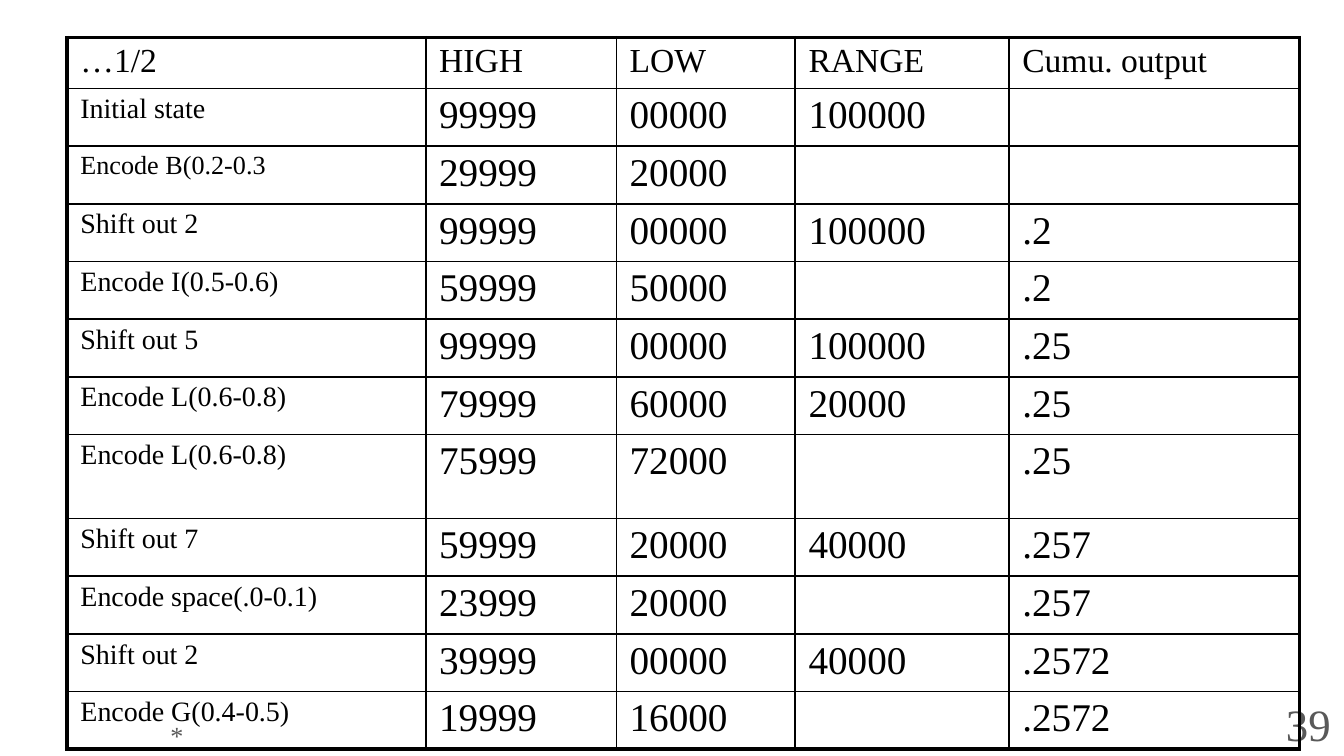
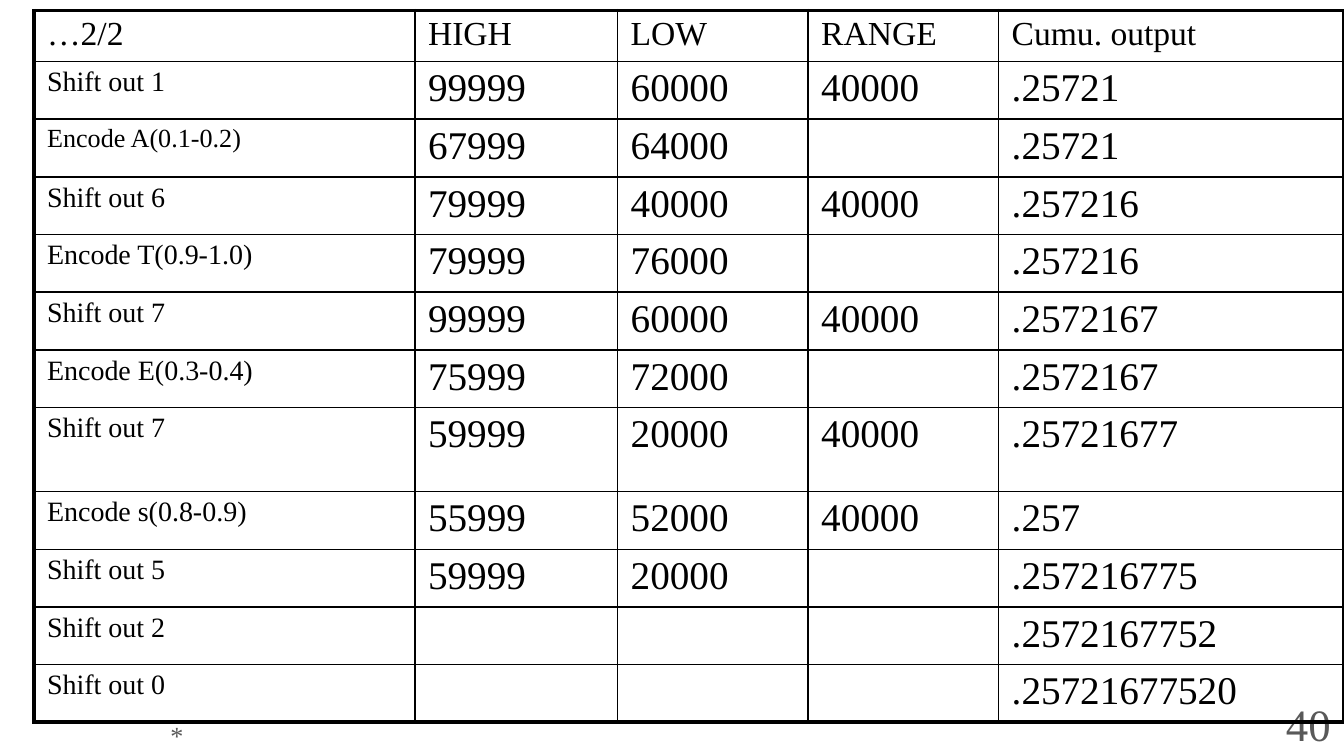
from lxml import etree
from pptx import Presentation
from pptx import util as u
from pptx.dml.color import RGBColor
from pptx.enum import text as t
from pptx.oxml import ns

FONT = "Times New Roman"
INK = "000000"
GREY = "595959"
THIN, THICK = 1, 2.25
HEADER_HEIGHT, ROW_HEIGHT, TALL_HEIGHT = 0.95, 1.08, 1.59
TALL_ROW = 7
SMALL_LABEL_ROW = 2
HEADINGS = ["HIGH", "LOW", "RANGE", "Cumu. output"]

PAGES = [
    {
        "number": "39",
        "left": 1.27,
        "top": 0.71,
        "widths": [6.78, 3.6, 3.38, 4.04, 5.49],
        "rows": [
            ["…1/2", *HEADINGS],
            ["Initial state", "99999", "00000", "100000", ""],
            ["Encode B(0.2-0.3", "29999", "20000", "", ""],
            ["Shift out 2", "99999", "00000", "100000", ".2"],
            ["Encode I(0.5-0.6)", "59999", "50000", "", ".2"],
            ["Shift out 5", "99999", "00000", "100000", ".25"],
            ["Encode L(0.6-0.8)", "79999", "60000", "20000", ".25"],
            ["Encode L(0.6-0.8)", "75999", "72000", "", ".25"],
            ["Shift out 7", "59999", "20000", "40000", ".257"],
            ["Encode space(.0-0.1)", "23999", "20000", "", ".257"],
            ["Shift out 2", "39999", "00000", "40000", ".2572"],
            ["Encode G(0.4-0.5)", "19999", "16000", "", ".2572"],
        ],
    },
    {
        "number": "40",
        "left": 0.64,
        "top": 0.2,
        "widths": [7.2, 3.83, 3.6, 3.6, 6.52],
        "rows": [
            ["…2/2", *HEADINGS],
            ["Shift out 1", "99999", "60000", "40000", ".25721"],
            ["Encode A(0.1-0.2)", "67999", "64000", "", ".25721"],
            ["Shift out 6", "79999", "40000", "40000", ".257216"],
            ["Encode T(0.9-1.0)", "79999", "76000", "", ".257216"],
            ["Shift out 7", "99999", "60000", "40000", ".2572167"],
            ["Encode E(0.3-0.4)", "75999", "72000", "", ".2572167"],
            ["Shift out 7", "59999", "20000", "40000", ".25721677"],
            ["Encode s(0.8-0.9)", "55999", "52000", "40000", ".257"],
            ["Shift out 5", "59999", "20000", "", ".257216775"],
            ["Shift out 2", "", "", "", ".2572167752"],
            ["Shift out 0", "", "", "", ".25721677520"],
        ],
    },
]


def write(frame, words, size, color=INK, align=t.PP_ALIGN.LEFT):
    para = frame.paragraphs[0]
    para.alignment = align
    para.font.size = u.Pt(size)
    if words:
        span = para.add_run()
        span.text = words
        span.font.name = FONT
        span.font.size = u.Pt(size)
        span.font.color.rgb = RGBColor.from_string(color)


def draw_border(cell, side, width):
    props = cell._tc.get_or_add_tcPr()
    line = etree.SubElement(props, ns.qn(f"a:ln{side}"), w=str(u.Pt(width)))
    fill = etree.SubElement(line, ns.qn("a:solidFill"))
    etree.SubElement(fill, ns.qn("a:srgbClr"), val=INK)


deck = Presentation()
deck.slide_width, deck.slide_height = u.Cm(25.4), u.Cm(14.29)

for content in PAGES:
    page = deck.slides.add_slide(deck.slide_layouts[6])

    footers = [
        (2.97, 5.28, "*", 14, t.PP_ALIGN.LEFT),
        (22.86, 2.54, content["number"], 24, t.PP_ALIGN.RIGHT),
    ]
    for left, width, words, size, align in footers:
        box = page.shapes.add_textbox(u.Cm(left), u.Cm(13.36), u.Cm(width), u.Cm(0.95))
        box.text_frame.word_wrap = True
        box.text_frame.vertical_anchor = t.MSO_ANCHOR.BOTTOM
        write(box.text_frame, words, size, color=GREY, align=align)

    rows, widths = content["rows"], content["widths"]
    heights = [HEADER_HEIGHT] + [ROW_HEIGHT] * (len(rows) - 1)
    heights[TALL_ROW] = TALL_HEIGHT
    table = page.shapes.add_table(
        len(rows), len(widths), u.Cm(content["left"]), u.Cm(content["top"]),
        u.Cm(sum(widths)), u.Cm(sum(heights)),
    ).table
    table.first_row = table.horz_banding = False
    for column, width in zip(table.columns, widths):
        column.width = u.Cm(width)

    for r, values in enumerate(rows):
        table.rows[r].height = u.Cm(heights[r])
        for c, words in enumerate(values):
            cell = table.cell(r, c)
            cell.margin_left = cell.margin_right = u.Cm(0.25)
            cell.margin_top = cell.margin_bottom = u.Cm(0.1)
            if r == 0:
                size = 18
            elif c == 0:
                size = 14 if r == SMALL_LABEL_ROW else 15
            else:
                size = 21
            write(cell.text_frame, words, size)
            edges = {
                "L": c == 0,
                "R": c == len(widths) - 1,
                "T": r == 0,
                "B": r == len(rows) - 1,
            }
            for side, outer in edges.items():
                draw_border(cell, side, THICK if outer else THIN)
            cell.fill.background()

deck.save("out.pptx")
